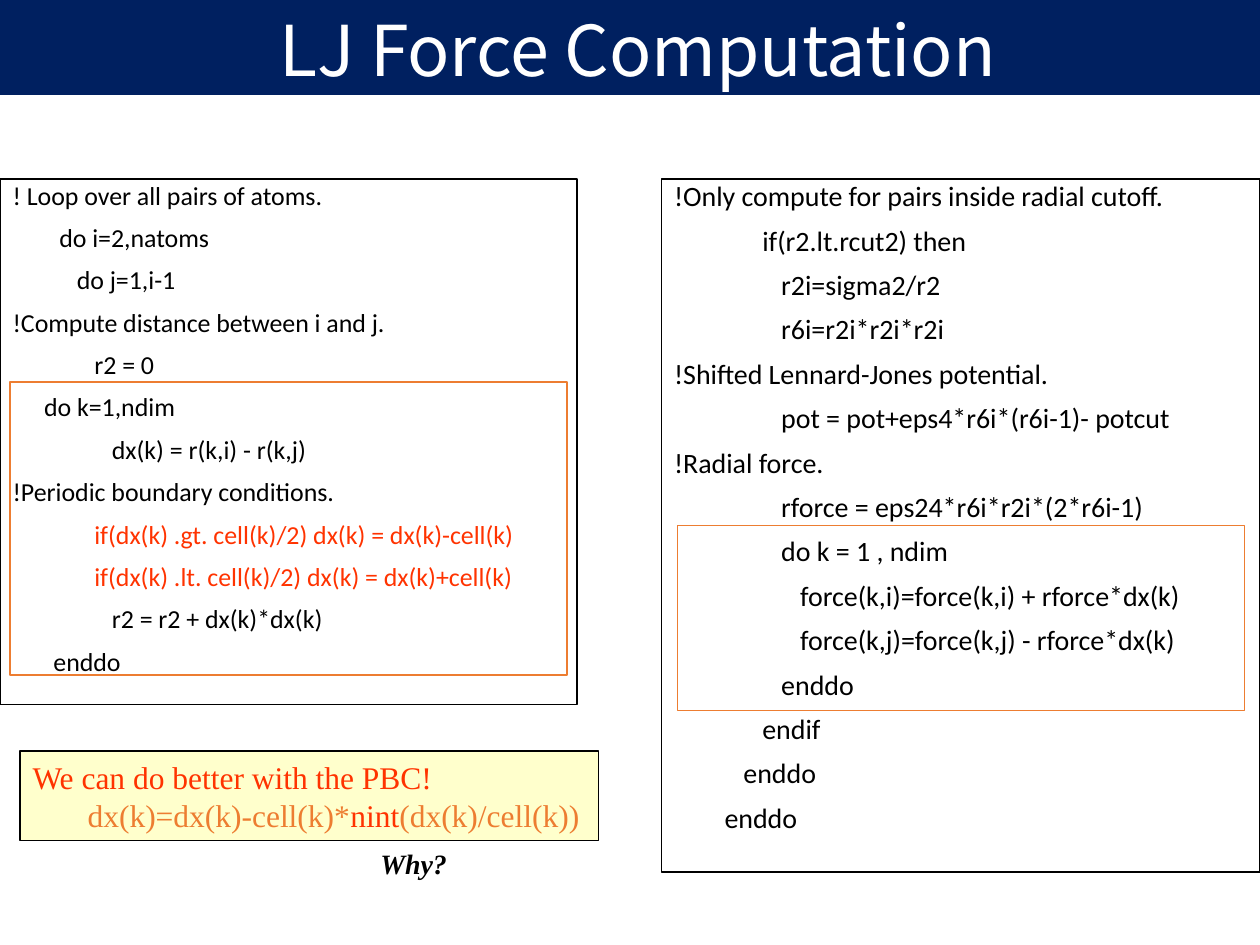
from pptx import Presentation
from pptx.dml.color import RGBColor
from pptx.enum.shapes import MSO_SHAPE
from pptx.enum.text import MSO_ANCHOR, MSO_AUTO_SIZE, PP_ALIGN
from pptx.oxml.ns import qn
from pptx.util import Inches, Pt
from lxml import etree

RECT = MSO_SHAPE.RECTANGLE
TOP, MIDDLE = MSO_ANCHOR.TOP, MSO_ANCHOR.MIDDLE
LEFT, CENTER = PP_ALIGN.LEFT, PP_ALIGN.CENTER
FIXED = MSO_AUTO_SIZE.NONE

COLORS = {
    "navy": "002060",
    "white": "FFFFFF",
    "black": "000000",
    "red": "FF3300",
    "orange": "ED7D31",
    "cream": "FFFFCC",
}

PAIRS = """! Loop over all pairs of atoms.
        do i=2,natoms
           do j=1,i-1
!Compute distance between i and j.
              r2 = 0
\tdo k=1,ndim
                 dx(k) = r(k,i) - r(k,j)
!Periodic boundary conditions.
              if(dx(k) .gt. cell(k)/2) dx(k) = dx(k)-cell(k)
              if(dx(k) .lt. cell(k)/2) dx(k) = dx(k)+cell(k)
                 r2 = r2 + dx(k)*dx(k)
       enddo"""

FORCES = """!Only compute for pairs inside radial cutoff.
              if(r2.lt.rcut2) then
                 r2i=sigma2/r2
                 r6i=r2i*r2i*r2i
!Shifted Lennard-Jones potential.
                 pot = pot+eps4*r6i*(r6i-1)- potcut
!Radial force.
                 rforce = eps24*r6i*r2i*(2*r6i-1)
                 do k = 1 , ndim
                    force(k,i)=force(k,i) + rforce*dx(k)
                    force(k,j)=force(k,j) - rforce*dx(k)
                 enddo
              endif
           enddo
        enddo"""


def color(name):
    """Return the named colour."""
    return RGBColor.from_string(COLORS[name])


def style(font, face, size, tint):
    """Set face, size and colour of a font."""
    font.name = face
    font.size = Pt(size)
    font.color.rgb = color(tint)


def place(shape, box):
    """Move a shape to a box of inches."""
    shape.left, shape.top, shape.width, shape.height = map(Inches, box)


def add_box(slide, box, line, width, fill=None):
    """Add a flat rectangle."""
    shape = slide.shapes.add_shape(RECT, *map(Inches, box))
    shape.shadow.inherit = False
    shape.line.color.rgb = color(line)
    shape.line.width = Pt(width)
    if fill:
        shape.fill.solid()
        shape.fill.fore_color.rgb = color(fill)
    else:
        shape.fill.background()
    return shape


def add_title(slide, box, text):
    """Place the title on a band at the back."""
    left, top, width, height = box
    band = add_box(slide, box, "navy", 1, "navy")
    slide.shapes._spTree.insert(2, band._element)
    title = slide.shapes.title
    place(title, (left + 1.56, top, width - 3, height + 0.02))
    frame = title.text_frame
    frame.auto_size = FIXED
    frame.vertical_anchor = MIDDLE
    frame.text = text
    para = frame.paragraphs[0]
    para.alignment = CENTER
    style(para.font, "Noto Sans CJK SC", 40, "white")


def add_code(body, box, text, size, reds=()):
    """Fill a body placeholder with code lines."""
    place(body, box)
    body.line.color.rgb = color("black")
    body.line.width = Pt(0.75)
    frame = body.text_frame
    frame.auto_size = FIXED
    frame.vertical_anchor = TOP
    for row, line in enumerate(text.split("\n")):
        para = frame.add_paragraph() if row else frame.paragraphs[0]
        para.add_run().text = line
        para.line_spacing = 0.8
        para.space_before = Pt(10 if row else 0)
        props = para._p.get_or_add_pPr()
        props.set("marL", str(Inches(0.25)))
        props.set("indent", str(Inches(-0.25)))
        etree.SubElement(props, qn("a:buNone"))
        style(para.font, "Calibri", size, "red" if row in reds else "black")


def add_tip(slide, box):
    """Add the callout with the shorter formula and its question."""
    left, top, width, height = box
    frame = add_box(slide, box, "black", 0.75, "cream").text_frame
    frame.word_wrap = False
    head, code = frame.paragraphs[0], frame.add_paragraph()
    head.text = "We can do better with the PBC!"
    for para, tint in ((head, "red"), (code, "orange")):
        para.alignment = LEFT
        style(para.font, "Times New Roman", 18, tint)
    for part in ("       dx(k)=dx(k)-cell(k)*", "nint", "(dx(k)/cell(k))"):
        run = code.add_run()
        run.text = part
        if part == "nint":
            run.font.color.rgb = color("red")
    spot = (left + 2.76, top + height, 0.73, 0.37)
    ask = slide.shapes.add_textbox(*map(Inches, spot)).text_frame
    ask.word_wrap = False
    para = ask.paragraphs[0]
    para.text = "Why?"
    style(para.font, "Times New Roman", 16, "black")
    para.font.bold = para.font.italic = True


def main():
    """Build and save the slide."""
    deck = Presentation()
    deck.slide_width, deck.slide_height = Inches(10), Inches(7.5)
    slide = deck.slides.add_slide(deck.slide_layouts[3])
    for mark in list(slide.placeholders):
        if mark.placeholder_format.idx > 2:
            mark._element.getparent().remove(mark._element)
    add_title(slide, (0, 0, 10, 0.75), "LJ Force Computation")
    pairs, forces = slide.placeholders[1], slide.placeholders[2]
    add_code(pairs, (0, 1.42, 4.58, 4.17), PAIRS, 14.8, (8, 9))
    add_code(forces, (5.25, 1.42, 4.75, 5.5), FORCES, 16)
    add_box(slide, (0.08, 3.03, 4.42, 2.33), "orange", 1)
    add_box(slide, (5.38, 4.17, 4.5, 1.47), "orange", 0.75)
    add_tip(slide, (0.16, 5.96, 4.59, 0.71))
    deck.save("out.pptx")


if __name__ == "__main__":
    main()
